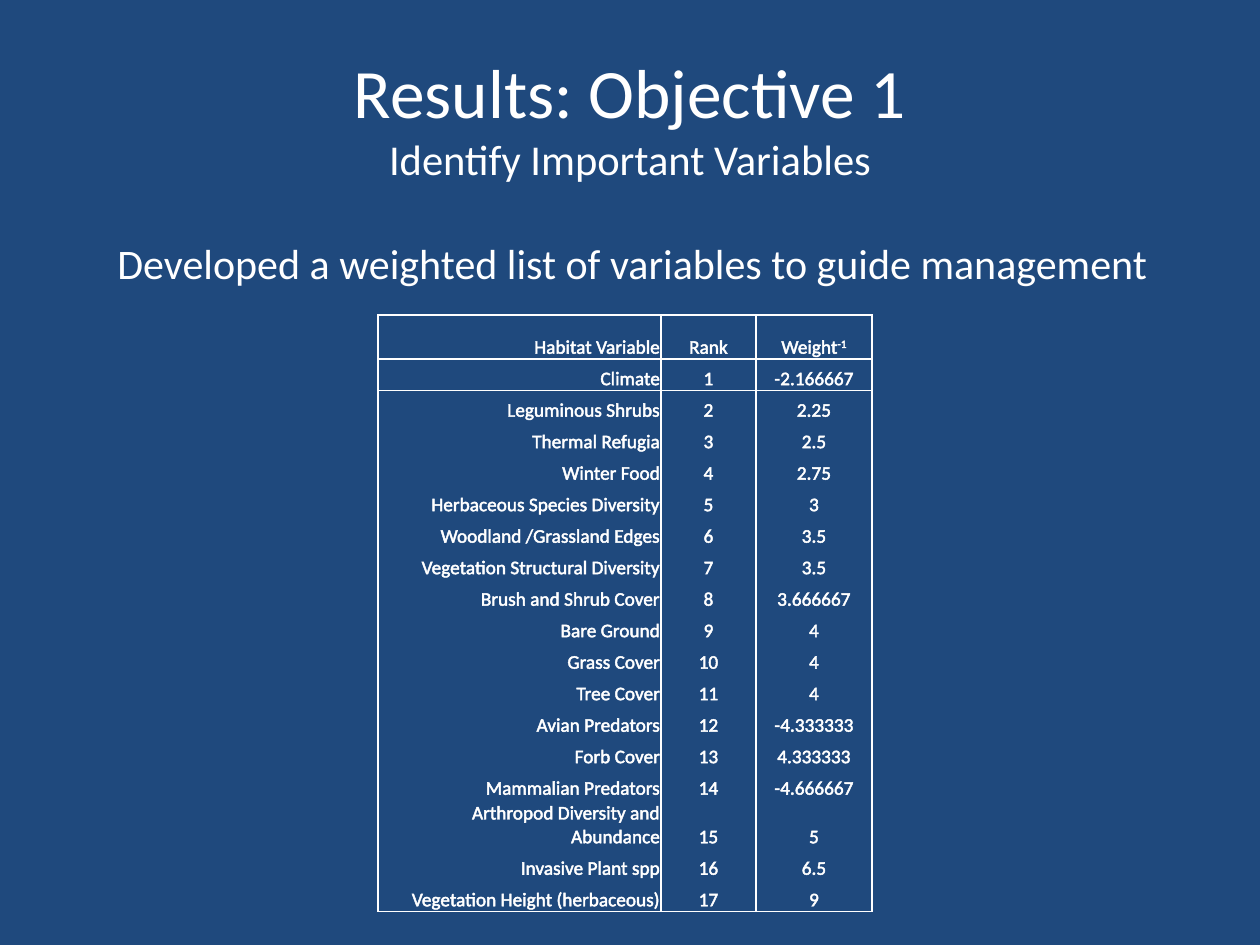
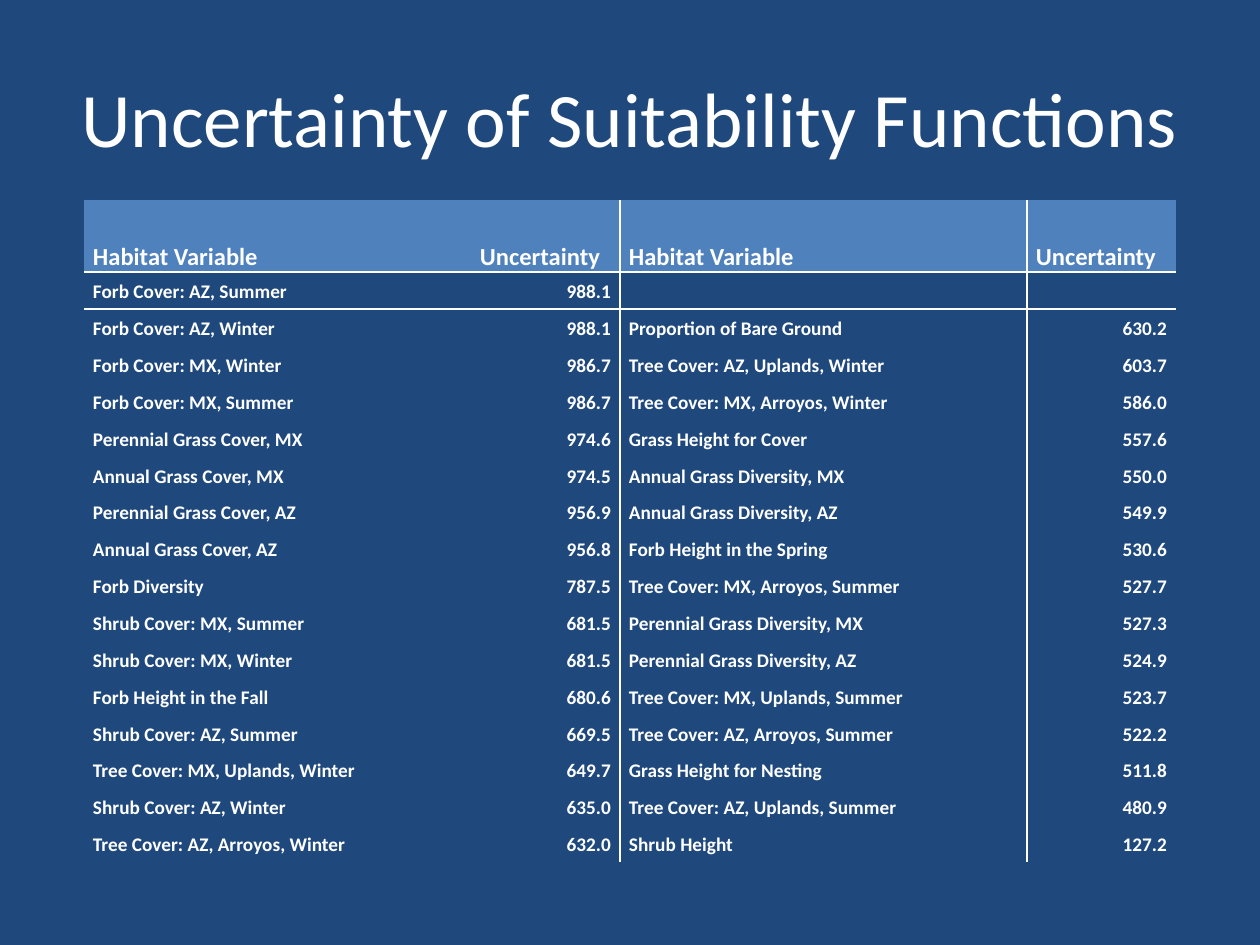
from lxml.etree import SubElement
from pptx import Presentation
from pptx.dml.color import RGBColor
from pptx.enum.text import MSO_ANCHOR as Anchor, MSO_AUTO_SIZE as AutoSize, PP_ALIGN as Align
from pptx.oxml.ns import qn
from pptx.util import Inches, Pt

EMU_PER_PX = Inches(1) / 126
SLIDE_SIZE = (1260, 945)
TITLE_BOX = (63, 38, 1134, 157)
FONT = "Calibri"
NAVY, BLUE, WHITE = "1F497D", "4F81BD", "FFFFFF"
NO_STYLE_NO_GRID = "{2D5ABB26-0587-4C30-8999-92F81FD0307C}"
TITLE_ONLY = 5

RANKED_VARIABLES = [
    ("Climate", "-2.166667"),
    ("Leguminous Shrubs", "2.25"),
    ("Thermal Refugia", "2.5"),
    ("Winter Food", "2.75"),
    ("Herbaceous Species Diversity", "3"),
    ("Woodland /Grassland Edges", "3.5"),
    ("Vegetation Structural Diversity", "3.5"),
    ("Brush and Shrub Cover", "3.666667"),
    ("Bare Ground", "4"),
    ("Grass Cover", "4"),
    ("Tree Cover", "4"),
    ("Avian Predators", "-4.333333"),
    ("Forb Cover", "4.333333"),
    ("Mammalian Predators", "-4.666667"),
    ("Arthropod Diversity and Abundance", "5"),
    ("Invasive Plant spp", "6.5"),
    ("Vegetation Height (herbaceous)", "9"),
]

UNCERTAINTIES = [
    ("Forb Cover: AZ, Summer", "988.1", "", ""),
    ("Forb Cover: AZ, Winter", "988.1", "Proportion of Bare Ground", "630.2"),
    ("Forb Cover: MX, Winter", "986.7", "Tree Cover: AZ, Uplands, Winter", "603.7"),
    ("Forb Cover: MX, Summer", "986.7", "Tree Cover: MX, Arroyos, Winter", "586.0"),
    ("Perennial Grass Cover, MX", "974.6", "Grass Height for Cover", "557.6"),
    ("Annual Grass Cover, MX", "974.5", "Annual Grass Diversity, MX", "550.0"),
    ("Perennial Grass Cover, AZ", "956.9", "Annual Grass Diversity, AZ", "549.9"),
    ("Annual Grass Cover, AZ", "956.8", "Forb Height in the Spring", "530.6"),
    ("Forb Diversity", "787.5", "Tree Cover: MX, Arroyos, Summer", "527.7"),
    ("Shrub Cover: MX, Summer", "681.5", "Perennial Grass Diversity, MX", "527.3"),
    ("Shrub Cover: MX, Winter", "681.5", "Perennial Grass Diversity, AZ", "524.9"),
    ("Forb Height in the Fall", "680.6", "Tree Cover: MX, Uplands, Summer", "523.7"),
    ("Shrub Cover: AZ, Summer", "669.5", "Tree Cover: AZ, Arroyos, Summer", "522.2"),
    ("Tree Cover: MX, Uplands, Winter", "649.7", "Grass Height for Nesting", "511.8"),
    ("Shrub Cover: AZ, Winter", "635.0", "Tree Cover: AZ, Uplands, Summer", "480.9"),
    ("Tree Cover: AZ, Arroyos, Winter", "632.0", "Shrub Height", "127.2"),
]


def px(length):
    return round(length * EMU_PER_PX)


def color(hex_code):
    return RGBColor.from_string(hex_code)


def add_run(paragraph, text, size, bold=None):
    run = paragraph.add_run()
    run.text = text
    run.font.name = FONT
    run.font.size = Pt(size)
    run.font.bold = bold
    run.font.color.rgb = color(WHITE)
    return run


def add_line(parent, tag, width):
    """Append a solid white line element, its width in points."""
    line = SubElement(parent, qn(tag), w=str(Pt(width)))
    fill = SubElement(line, qn("a:solidFill"))
    SubElement(fill, qn("a:srgbClr"), val=WHITE)
    return line


def outline_text(run):
    properties = run.font._element
    properties.insert(0, add_line(properties, "a:ln", 0.75))


def add_titled_slide(presentation, lines):
    """Add a slide whose title holds (text, size) lines."""
    slide = presentation.slides.add_slide(presentation.slide_layouts[TITLE_ONLY])
    title = slide.shapes.title
    title.left, title.top, title.width, title.height = map(px, TITLE_BOX)
    frame = title.text_frame
    frame.auto_size = AutoSize.NONE
    frame.vertical_anchor = Anchor.MIDDLE
    paragraph = frame.paragraphs[0]
    paragraph.alignment = Align.CENTER
    for index, (text, size) in enumerate(lines):
        if index:
            paragraph.add_line_break()
        add_run(paragraph, text, size)
    return slide


def add_statement(slide, box, text):
    frame = slide.shapes.add_textbox(*map(px, box)).text_frame
    frame.word_wrap = False
    frame.auto_size = AutoSize.SHAPE_TO_FIT_TEXT
    add_run(frame.paragraphs[0], text, 24)


def add_plain_table(slide, left, top, height, header_height, column_widths, row_count):
    """Add a table without style; the rows below the header share its height equally."""
    box = (left, top, sum(column_widths), height)
    table = slide.shapes.add_table(row_count, len(column_widths), *map(px, box)).table
    table.first_row = table.horz_banding = False
    table._tbl.tblPr.find(qn("a:tableStyleId")).text = NO_STYLE_NO_GRID
    for column, width in zip(table.columns, column_widths):
        column.width = px(width)
    body_height = (height - header_height) / (row_count - 1)
    for index, row in enumerate(table.rows):
        row.height = px(body_height if index else header_height)
    return table


def format_cell(cell, anchor, margins, borders, fill=None):
    """Margins are left, top, right, bottom; borders is a subset of the sides LRTB."""
    cell.vertical_anchor = anchor
    cell.margin_left, cell.margin_top, cell.margin_right, cell.margin_bottom = map(px, margins)
    for side in "LRTB":
        if side in borders:
            add_line(cell._tc.tcPr, f"a:ln{side}", 1)
    if fill:
        cell.fill.solid()
        cell.fill.fore_color.rgb = color(fill)
    else:
        cell.fill.background()


def write_cell(cell, text, size, alignment, bold=None, line_spacing=None):
    paragraph = cell.text_frame.paragraphs[0]
    paragraph.alignment = alignment
    paragraph.line_spacing = line_spacing
    if text:
        return add_run(paragraph, text, size, bold)
    SubElement(paragraph._p, qn("a:endParaRPr"), sz=str(size * 100))


def add_rank_table(slide):
    rows = [("Habitat Variable", "Rank", "Weight")]
    rows += [(name, str(rank), weight)
             for rank, (name, weight) in enumerate(RANKED_VARIABLES, 1)]
    table = add_plain_table(slide, 378, 315, 580, 44, (283, 95, 116), len(rows))
    last = len(rows) - 1
    for r, row in enumerate(rows):
        borders = "LR" + ("T" if r <= 1 else "") + ("B" if r in (0, last) else "")
        for c, text in enumerate(row):
            cell = table.cell(r, c)
            format_cell(cell, Anchor.BOTTOM, (1, 1, 1, 0), borders)
            outline_text(write_cell(cell, text, 11, Align.CENTER if c else Align.RIGHT))
    exponent = add_run(table.cell(0, 2).text_frame.paragraphs[0], "-1", 11)
    exponent.font._element.set("baseline", "30000")
    outline_text(exponent)


def add_uncertainty_table(slide):
    rows = [("Habitat Variable", "Uncertainty") * 2] + UNCERTAINTIES
    table = add_plain_table(slide, 84, 200, 662, 72, (387, 149, 407, 149), len(rows))
    divider = {1: "R", 2: "L"}
    for r, row in enumerate(rows):
        header = r == 0
        rule = {0: "B", 1: "T"}.get(r, "")
        for c, text in enumerate(row):
            cell = table.cell(r, c)
            format_cell(cell, Anchor.BOTTOM if header else Anchor.MIDDLE, (9, 0, 9, 0),
                        divider.get(c, "") + rule, BLUE if header else None)
            alignment = Align.RIGHT if c % 2 and not header else Align.LEFT
            write_cell(cell, text, 14 if header else 11, alignment, True, 1.15)


def main():
    presentation = Presentation()
    presentation.slide_width, presentation.slide_height = map(px, SLIDE_SIZE)
    background = presentation.slide_master.background.fill
    background.solid()
    background.fore_color.rgb = color(NAVY)

    slide = add_titled_slide(presentation, [("Results: Objective 1", 39.6),
                                            ("Identify Important Variables", 24.3)])
    add_rank_table(slide)
    add_statement(slide, (105, 231, 1065, 63),
                  "Developed a weighted list of variables to guide management")

    slide = add_titled_slide(presentation, [("Uncertainty of Suitability Functions", 44)])
    add_uncertainty_table(slide)

    presentation.save("out.pptx")


if __name__ == "__main__":
    main()
